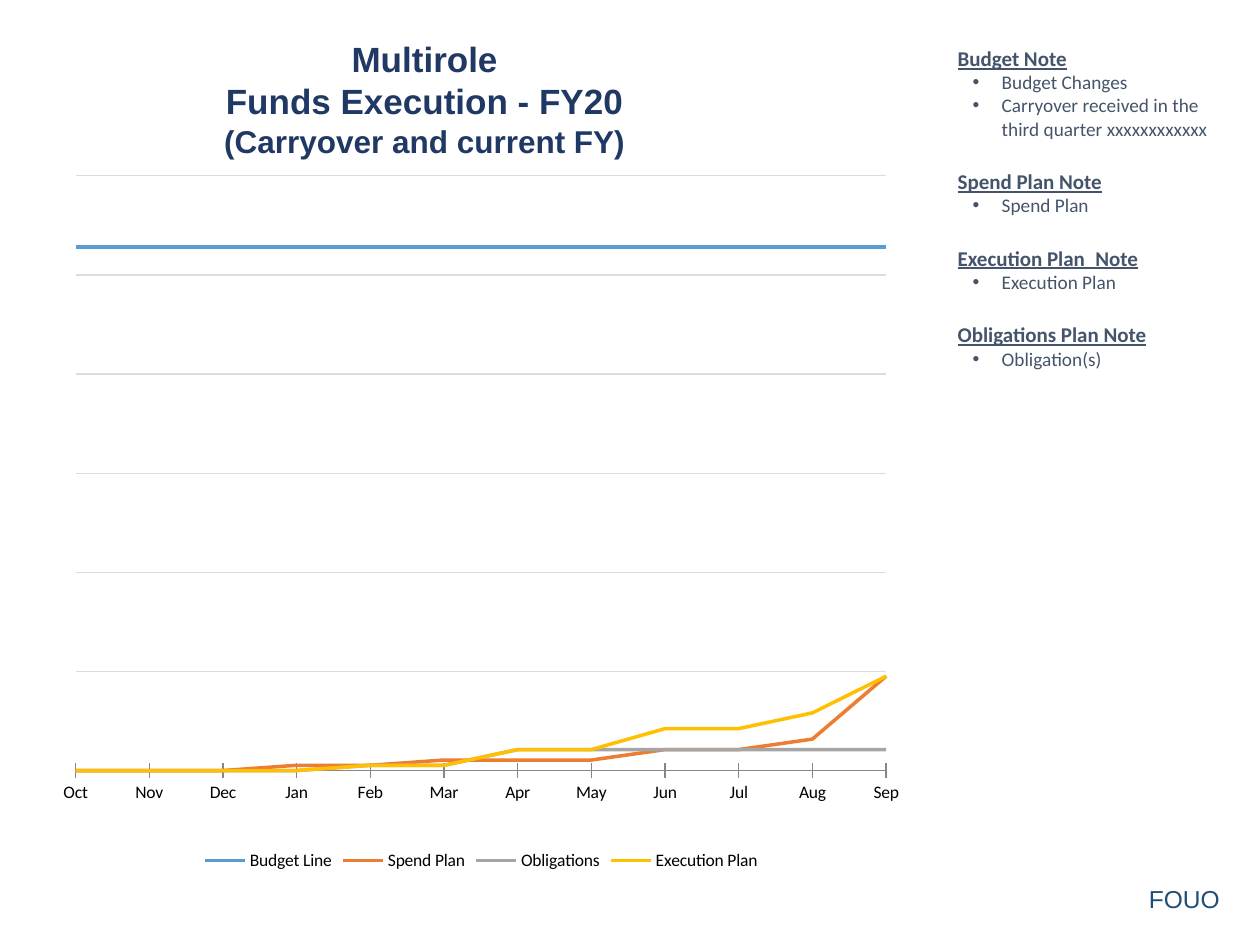
"""Build a funds execution slide with a line chart and a column of notes."""
from dataclasses import dataclass

from lxml import etree
from pptx import Presentation
from pptx import util as u
from pptx.chart import data as chart_data
from pptx.dml import color
from pptx.enum import chart as ch
from pptx.enum import text as tx
from pptx.oxml import ns


@dataclass(frozen=True)
class Theme:
    heading: str = "203864"
    note: str = "44546A"
    marking: str = "1F4E79"
    chart_text: str = "000000"
    grid: str = "DCDCDC"
    axis: str = "868686"
    heading_font: str = "Arial"
    body_font: str = "Calibri"
    title_size: int = 20
    subtitle_size: int = 18
    note_heading_size: int = 12
    note_size: int = 11
    chart_size: int = 10
    marking_size: int = 14


THEME = Theme()
WIDTH, HEIGHT = u.Inches(10), u.Inches(7.5)
TITLE = [("Multirole", THEME.title_size),
         ("Funds Execution - FY20", THEME.title_size),
         ("(Carryover and current FY)", THEME.subtitle_size)]
NOTES = {
    "Budget Note": ["Budget Changes", "Carryover received in the third quarter xxxxxxxxxxxx"],
    "Spend Plan Note": ["Spend Plan"],
    "Execution Plan_Note": ["Execution Plan"],
    "Obligations Plan Note": ["Obligation(s)"],
}
MONTHS = "Oct Nov Dec Jan Feb Mar Apr May Jun Jul Aug Sep".split()
FUNDS = [
    ("Budget Line", "5B9BD5", [100] * len(MONTHS)),
    ("Spend Plan", "ED7D31", [0, 0, 0, 1, 1, 2, 2, 2, 4, 4, 6, 18]),
    ("Obligations", "A5A5A5", [0, 0, 0, 0, 1, 1] + [4] * 6),
    ("Execution Plan", "FFC002", [0, 0, 0, 0, 1, 1, 4, 4, 8, 8, 11, 18]),
]
GRID_STEP, GRID_ROWS = 18.93, 6
PLOT = {"x": 0.036, "y": 0, "w": 0.927, "h": 0.85}


def share(left, top, width, height):
    """Turn percentages of the slide into a box of lengths."""
    return (int(WIDTH * left / 100), int(HEIGHT * top / 100),
            int(WIDTH * width / 100), int(HEIGHT * height / 100))


def place(holder, box):
    """Move a placeholder to a box."""
    holder.left, holder.top, holder.width, holder.height = box


def paragraphs(frame):
    """Yield the first paragraph of a frame, then new ones."""
    yield frame.paragraphs[0]
    while True:
        yield frame.add_paragraph()


def style(font, name, size, rgb, bold=False, underline=False):
    """Set every font property used on the slide."""
    font.name, font.size = name, u.Pt(size)
    font.bold, font.underline = bold, underline
    font.color.rgb = color.RGBColor.from_string(rgb)


def add_run(paragraph, wording, *look, **flags):
    """Append one styled run."""
    run = paragraph.add_run()
    run.text = wording
    style(run.font, *look, **flags)


def fill_title(title):
    """Write the centred title lines."""
    place(title, share(-11.3, 0.67, 90, 13.47))
    frame = title.text_frame
    frame.auto_size = tx.MSO_AUTO_SIZE.NONE
    frame.vertical_anchor = tx.MSO_ANCHOR.TOP
    frame.margin_top = u.Inches(0.25)
    for (wording, size), line in zip(TITLE, paragraphs(frame)):
        line.alignment = tx.PP_ALIGN.CENTER
        add_run(line, wording, THEME.heading_font, size, THEME.heading, bold=True)


def set_bullet(paragraph, indent, hanging, bullet=None):
    """Set the indent and the bullet of a paragraph."""
    props = paragraph._p.get_or_add_pPr()
    props.set("marL", str(u.Inches(indent)))
    props.set("indent", str(u.Inches(hanging)))
    if bullet:
        etree.SubElement(props, ns.qn("a:buFont")).set("typeface", THEME.heading_font)
        etree.SubElement(props, ns.qn("a:buChar")).set("char", bullet)
    else:
        etree.SubElement(props, ns.qn("a:buNone"))


def fill_notes(body):
    """Write underlined headings with their bullets."""
    place(body, share(75, 3.6, 23, 38.93))
    frame = body.text_frame
    frame.auto_size = tx.MSO_AUTO_SIZE.NONE
    lines = paragraphs(frame)
    for index, (heading, items) in enumerate(NOTES.items()):
        line = next(lines)
        line.line_spacing = 1.2
        line.space_before = u.Pt(13.4 if index else 0)
        set_bullet(line, 0, 0)
        add_run(line, heading, THEME.body_font, THEME.note_heading_size, THEME.note,
                bold=True, underline=True)
        for item in items:
            line = next(lines)
            line.space_before = u.Pt(0)
            set_bullet(line, 0.35, -0.23, "•")
            add_run(line, item, THEME.body_font, THEME.note_size, THEME.note)


def add_marking(slide):
    """Add the handling marking in the lower right corner."""
    frame = slide.shapes.add_textbox(*share(90.2, 92.93, 7.8, 4.53)).text_frame
    frame.word_wrap = False
    add_run(frame.paragraphs[0], "FOUO", THEME.heading_font, THEME.marking_size, THEME.marking)


def draw_line(line, rgb, width):
    """Colour a chart line and set its width."""
    line.color.rgb = color.RGBColor.from_string(rgb)
    line.width = u.Pt(width)


def fix_plot(chart):
    """Pin the inner plot area and start the lines on the axis."""
    area = chart._chartSpace.find(".//" + ns.qn("c:plotArea"))
    for old in area.findall(ns.qn("c:layout")):
        area.remove(old)
    layout = etree.Element(ns.qn("c:layout"))
    area.insert(0, layout)
    manual = etree.SubElement(layout, ns.qn("c:manualLayout"))
    settings = {"layoutTarget": "inner", "xMode": "edge", "yMode": "edge", **PLOT}
    for tag, value in settings.items():
        etree.SubElement(manual, ns.qn("c:" + tag)).set("val", str(value))
    values = area.find(ns.qn("c:valAx"))
    for old in values.findall(ns.qn("c:crossBetween")):
        values.remove(old)
    between = etree.Element(ns.qn("c:crossBetween"))
    between.set("val", "midCat")
    values.find(ns.qn("c:crosses")).addnext(between)


def add_funds_chart(slide):
    """Add the line chart of budget, plans and obligations."""
    data = chart_data.CategoryChartData()
    data.categories = MONTHS
    for name, _, amounts in FUNDS:
        data.add_series(name, amounts)
    chart = slide.shapes.add_chart(ch.XL_CHART_TYPE.LINE,
                                   *share(3.5, 18.53, 69.4, 74.13), data).chart
    style(chart.font, THEME.body_font, THEME.chart_size, THEME.chart_text)
    chart.has_title = False
    chart.has_legend = True
    chart.legend.position = ch.XL_LEGEND_POSITION.BOTTOM
    chart.legend.include_in_layout = False
    months, amounts = chart.category_axis, chart.value_axis
    months.major_tick_mark = ch.XL_TICK_MARK.CROSS
    draw_line(months.format.line, THEME.axis, 0.75)
    amounts.visible = False
    amounts.minimum_scale = 0
    amounts.maximum_scale = round(GRID_STEP * GRID_ROWS, 2)
    amounts.major_unit = GRID_STEP
    draw_line(amounts.major_gridlines.format.line, THEME.grid, 0.75)
    for series, (_, rgb, _) in zip(chart.plots[0].series, FUNDS):
        series.smooth = False
        series.marker.style = ch.XL_MARKER_STYLE.NONE
        draw_line(series.format.line, rgb, 2)
    fix_plot(chart)


def main():
    """Assemble and save the slide."""
    deck = Presentation()
    deck.slide_width, deck.slide_height = WIDTH, HEIGHT
    slide = deck.slides.add_slide(deck.slide_layouts[1])
    fill_title(slide.shapes.title)
    fill_notes(slide.placeholders[1])
    add_marking(slide)
    add_funds_chart(slide)
    deck.save("out.pptx")


main()
